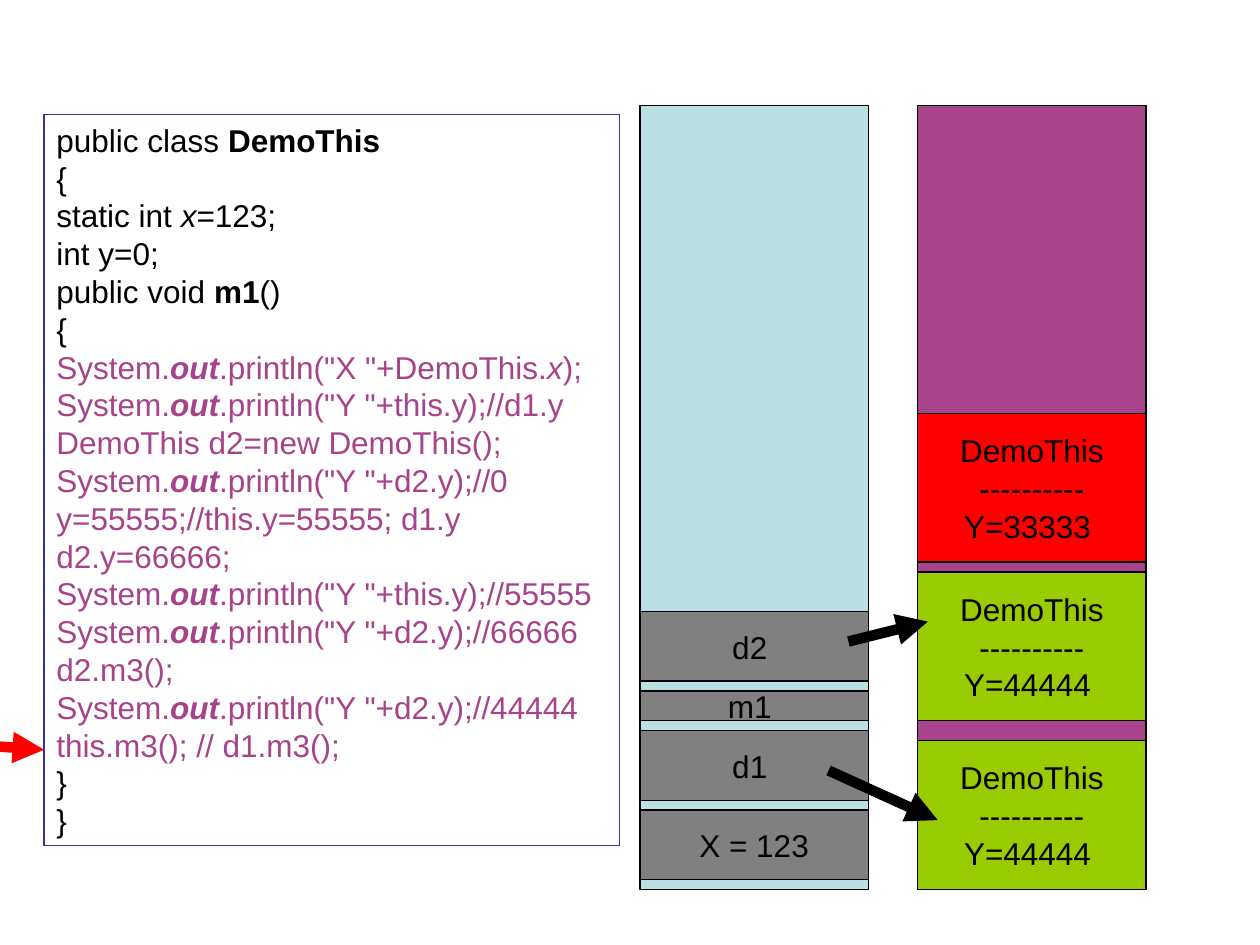
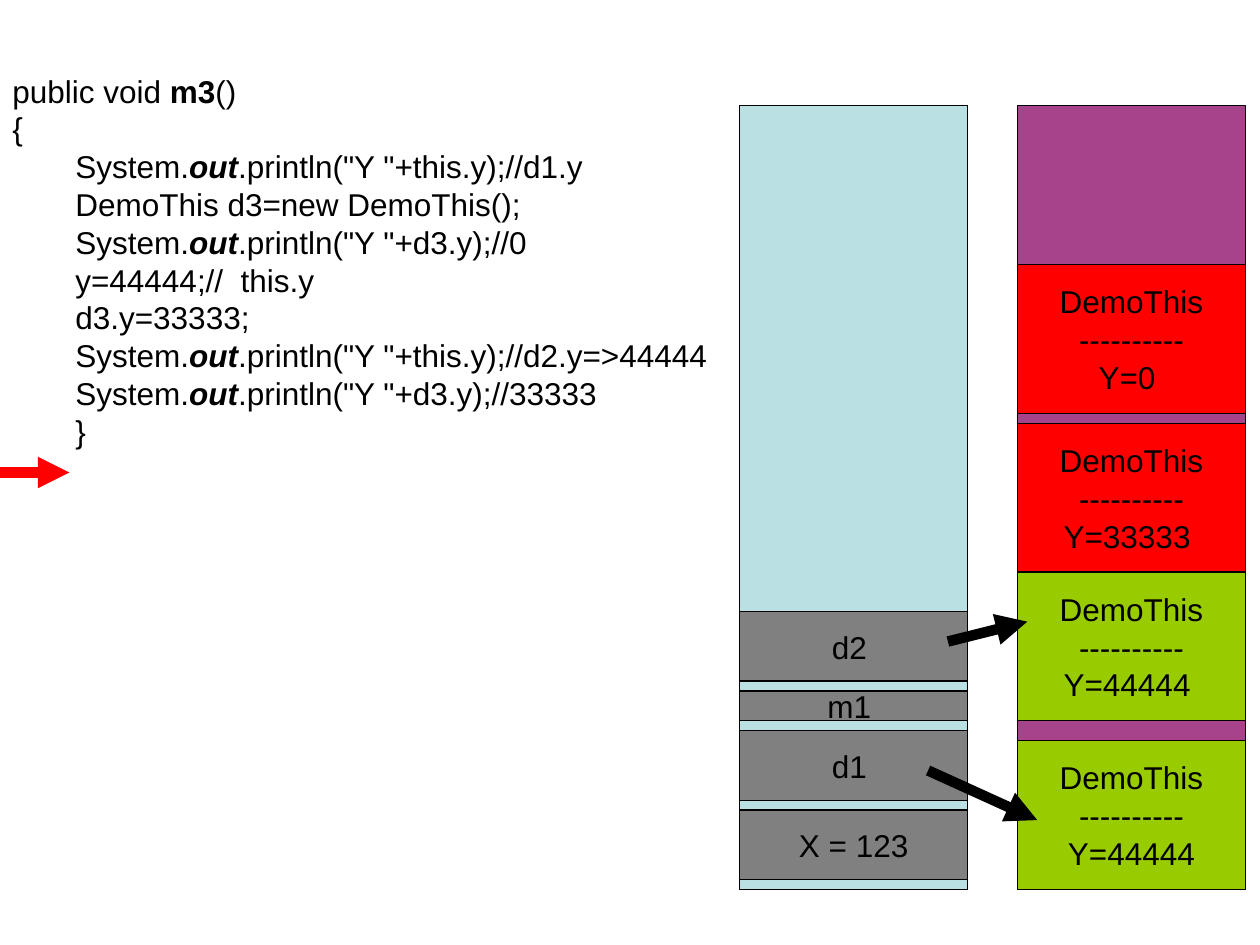
import dataclasses

import pptx
import pptx.dml.color
import pptx.enum.shapes
import pptx.enum.text
import pptx.oxml.ns
import pptx.util
from lxml import etree

UNIT = pptx.util.Mm(2)
MEMORY_BOTTOM = pptx.util.Inches(7.06)
MEMORY_HEIGHT, COLUMN_WIDTH, COLUMN_PITCH = 79, 23, 28
OBJECT_HEIGHT = 15


@dataclasses.dataclass(frozen=True)
class Theme:
    """Colours, font and sizes shared by both slides."""
    ink: str = "000000"
    frame: str = "333399"
    stack: str = "BBE0E3"
    heap: str = "A7438A"
    slot: str = "808080"
    live: str = "99CC00"
    garbage: str = "FF0000"
    font: str = "Arial"
    text_size: float = 18
    outline: float = 0.75
    arrow: float = 6


THEME = Theme()

CLASS_HEAD = """public class *DemoThis*
{
static int _x_=123;
int y=0;
public void *m1*()
{"""
M1_BODY = """System.*_out_*.println("X "+DemoThis._x_);
System.*_out_*.println("Y "+this.y);//d1.y
DemoThis d2=new DemoThis();
System.*_out_*.println("Y "+d2.y);//0
y=55555;//this.y=55555; d1.y
d2.y=66666;
System.*_out_*.println("Y "+this.y);//55555
System.*_out_*.println("Y "+d2.y);//66666
d2.m3();
System.*_out_*.println("Y "+d2.y);//44444
this.m3(); // d1.m3();"""
CLASS_END = "}\n}"
M3_HEAD = "public void *m3*()\n{"
M3_BODY = """System.*_out_*.println("Y "+this.y);//d1.y
DemoThis d3=new DemoThis();
System.*_out_*.println("Y "+d3.y);//0
y=44444;//  this.y
d3.y=33333;
System.*_out_*.println("Y "+this.y);//d2.y=>44444
System.*_out_*.println("Y "+d3.y);//33333
}"""

STACK_SLOTS = [("X = 123", 1, 7), ("d1 ", 9, 7), ("m1 ", 17, 3), ("d2 ", 21, 7)]
REFERENCES = [((19, 12), (30, 7)), ((21, 25), (29, 27))]


def rgb(value):
    """Turn a hex string into a colour."""
    return pptx.dml.color.RGBColor.from_string(value)


def split_spans(line):
    """Yield (text, bold, italic), where * switches bold and _ switches italic."""
    for bold_index, bold_part in enumerate(line.split("*")):
        for italic_index, text in enumerate(bold_part.split("_")):
            if text:
                yield text, bold_index % 2 == 1, italic_index % 2 == 1


def write(box, text, color=THEME.ink, align="LEFT", indent=0):
    """Append each line of text to a box as a formatted paragraph."""
    frame = box.text_frame
    for line in text.split("\n"):
        para = frame.paragraphs[0] if not frame.text else frame.add_paragraph()
        para.alignment = getattr(pptx.enum.text.PP_ALIGN, align)
        if indent:
            para.level = 1
            properties = para._p.get_or_add_pPr()
            properties.set("marL", str(pptx.util.Inches(indent)))
            properties.set("indent", "0")
        for words, bold, italic in split_spans(line):
            span = para.add_run()
            span.text = words
            span.font.name = THEME.font
            span.font.size = pptx.util.Pt(THEME.text_size)
            span.font.bold = bold
            span.font.italic = italic
            span.font.color.rgb = rgb(color)


def add_rectangle(page, left, top, width, height, fill=None, line=THEME.ink):
    """Draw an outlined rectangle, filled when a fill is given."""
    box = page.shapes.add_shape(
        pptx.enum.shapes.MSO_SHAPE.RECTANGLE, left, top, width, height)
    box.shadow.inherit = False
    if fill:
        box.fill.solid()
        box.fill.fore_color.rgb = rgb(fill)
    else:
        box.fill.background()
    box.line.color.rgb = rgb(line)
    box.line.width = pptx.util.Pt(THEME.outline)
    return box


def add_block(page, left, base, height, fill, text=""):
    """Draw a memory block whose base is counted in units from the bottom."""
    box = add_rectangle(page, left, MEMORY_BOTTOM - (base + height) * UNIT,
                        COLUMN_WIDTH * UNIT, height * UNIT, fill)
    if text:
        box.text_frame.word_wrap = False
        box.text_frame.vertical_anchor = pptx.enum.text.MSO_ANCHOR.MIDDLE
        write(box, text, align="CENTER")


def add_arrow(page, start, end, color):
    """Draw a thick straight arrow between two points."""
    arrow = page.shapes.add_connector(
        pptx.enum.shapes.MSO_CONNECTOR.STRAIGHT, *start, *end)
    arrow.line.color.rgb = rgb(color)
    arrow.line.width = pptx.util.Pt(THEME.arrow)
    qn = pptx.oxml.ns.qn
    etree.SubElement(arrow.line._get_or_add_ln(), qn("a:tailEnd"), type="triangle")
    etree.SubElement(arrow._element.spPr, qn("a:effectLst"))


def add_step_arrow(page, start, end):
    """Point at the line of code being run, with points in inches."""
    add_arrow(page, [pptx.util.Inches(value) for value in start],
              [pptx.util.Inches(value) for value in end], THEME.garbage)


def add_memory(page, left, objects):
    """Draw the stack and the heap, their blocks and the references between them."""
    stack = pptx.util.Inches(left)
    heap = stack + COLUMN_PITCH * UNIT
    add_block(page, stack, 0, MEMORY_HEIGHT, THEME.stack)
    add_block(page, heap, 0, MEMORY_HEIGHT, THEME.heap)
    for name, base, height in STACK_SLOTS:
        add_block(page, stack, base, height, THEME.slot, name)
    for value, base, fill in objects:
        add_block(page, heap, base, OBJECT_HEIGHT, fill,
                  f"DemoThis\n----------\nY={value}")
    for points in REFERENCES:
        start, end = [(stack + x * UNIT, MEMORY_BOTTOM - y * UNIT) for x, y in points]
        add_arrow(page, start, end, THEME.ink)


def fit_code(box):
    """Let a code box wrap and grow with its text."""
    box.text_frame.word_wrap = True
    box.text_frame.vertical_anchor = pptx.enum.text.MSO_ANCHOR.TOP
    box.text_frame.auto_size = pptx.enum.text.MSO_AUTO_SIZE.SHAPE_TO_FIT_TEXT


def build_m1_slide(page):
    """Show the class with m1 and the memory at its last call."""
    area = [pptx.util.Inches(value) for value in (0.35, 0.91, 4.57, 5.8)]
    code = add_rectangle(page, *area, line=THEME.frame)
    fit_code(code)
    write(code, CLASS_HEAD)
    write(code, M1_BODY, color=THEME.heap)
    write(code, CLASS_END)
    add_memory(page, 5.08, [("44444 ", 0, THEME.live), ("44444 ", 17, THEME.live),
                            ("33333 ", 33, THEME.garbage)])
    add_step_arrow(page, (-0.67, 5.88), (0.35, 5.95))


def build_m3_slide(page):
    """Show m3 and the memory after it ends."""
    area = [pptx.util.Inches(value) for value in (0, 0.52, 5.94, 3.1)]
    code = page.shapes.add_textbox(*area)
    fit_code(code)
    write(code, M3_HEAD)
    write(code, M3_BODY, indent=0.5)
    add_memory(page, 5.87, [("44444", 0, THEME.live), ("44444 ", 17, THEME.live),
                            ("33333 ", 32, THEME.garbage), ("0 ", 48, THEME.garbage)])
    add_step_arrow(page, (-0.55, 3.75), (0.55, 3.75))


def main():
    """Build and save the deck."""
    deck = pptx.Presentation()
    deck.slide_width = pptx.util.Inches(10)
    deck.slide_height = pptx.util.Inches(7.5)
    for build in (build_m1_slide, build_m3_slide):
        build(deck.slides.add_slide(deck.slide_layouts[6]))
    deck.save("out.pptx")


if __name__ == "__main__":
    main()
